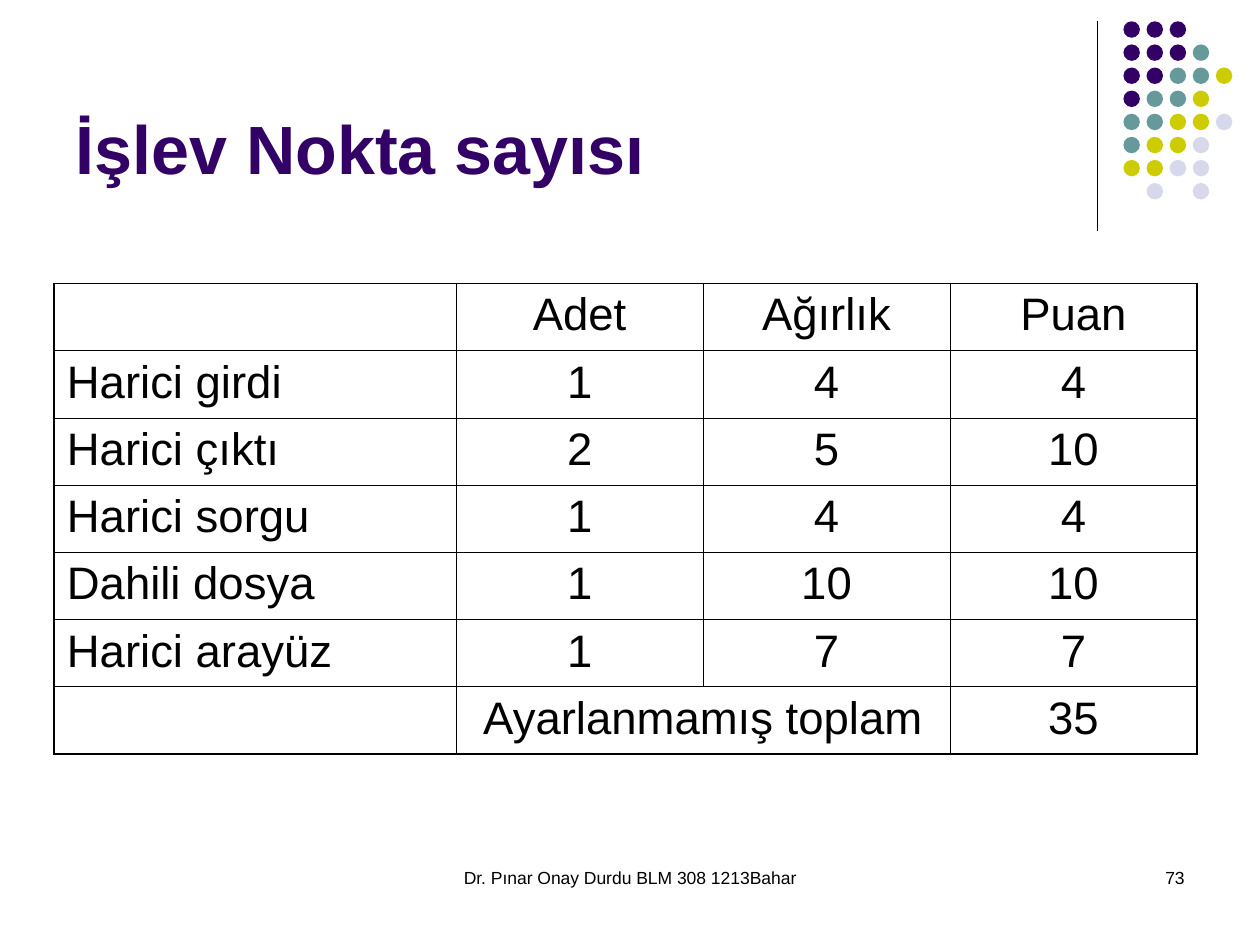
import lxml.etree
import pptx
import pptx.dml.color
import pptx.enum.shapes
import pptx.enum.text
import pptx.oxml.ns
import pptx.util

Pt = pptx.util.Pt
RGBColor = pptx.dml.color.RGBColor
ALIGN = pptx.enum.text.PP_ALIGN
ANCHOR = pptx.enum.text.MSO_ANCHOR
qn = pptx.oxml.ns.qn

BLACK = RGBColor(0, 0, 0)
PURPLE = RGBColor(0x33, 0x00, 0x66)
TEAL = RGBColor(0x66, 0x99, 0x99)
OLIVE = RGBColor(0xCC, 0xCC, 0x00)
LAVENDER = RGBColor(0xD8, 0xD8, 0xEC)

DOT_COLOURS = {"P": PURPLE, "T": TEAL, "O": OLIVE, "L": LAVENDER}
DOT_ROWS = ["PPP", "PPPT", "PPTTO", "PTTO", "TTOOL", "TOOL", "OOLL", " L L"]
DOT_SIZE, DOT_PITCH = 9.4, 13.2

POINTS = [
    ["", "Adet", "Ağırlık", "Puan"],
    ["Harici girdi", "1", "4", "4"],
    ["Harici çıktı", "2", "5", "10"],
    ["Harici sorgu", "1", "4", "4"],
    ["Dahili dosya", "1", "10", "10"],
    ["Harici arayüz", "1", "7", "7"],
    ["", "Ayarlanmamış toplam", "", "35"],
]
COLUMN_WIDTHS = [229.7, 141.1, 141.1, 141.1]
ROW_HEIGHT = 38.4
THIN, THICK = 0.45, 1.08


def write(frame, text, size, colour, align, bold=False):
    """Put one formatted paragraph into a text frame."""
    frame.text = text
    paragraph = frame.paragraphs[0]
    paragraph.alignment = align
    font = paragraph.font
    font.name, font.size, font.bold = "Arial", Pt(size), bold
    font.color.rgb = colour


def add_heading(slide, text):
    """Place and format the title placeholder."""
    heading = slide.shapes.title
    heading.left, heading.top = Pt(36), Pt(9.4)
    heading.width, heading.height = Pt(594), Pt(102)
    frame = heading.text_frame
    frame.auto_size = pptx.enum.text.MSO_AUTO_SIZE.NONE
    frame.vertical_anchor = ANCHOR.BOTTOM
    write(frame, text, 39, PURPLE, ALIGN.LEFT, bold=True)


def add_rule(slide, x, top, bottom):
    """Draw the thin vertical line beside the dots."""
    rule = slide.shapes.add_connector(
        pptx.enum.shapes.MSO_CONNECTOR.STRAIGHT, Pt(x), Pt(top), Pt(x), Pt(bottom))
    rule.line.color.rgb = BLACK
    rule.line.width = Pt(0.75)
    lxml.etree.SubElement(rule._element.spPr, qn("a:effectLst"))


def add_dots(slide, left, top):
    """Draw the grouped grid of coloured dots."""
    dots = slide.shapes.add_group_shape()
    for row, letters in enumerate(DOT_ROWS):
        for column, letter in enumerate(letters):
            if letter == " ":
                continue
            dot = dots.shapes.add_shape(
                pptx.enum.shapes.MSO_SHAPE.OVAL,
                Pt(left + column * DOT_PITCH), Pt(top + row * DOT_PITCH),
                Pt(DOT_SIZE), Pt(DOT_SIZE))
            dot.shadow.inherit = False
            dot.fill.solid()
            dot.fill.fore_color.rgb = DOT_COLOURS[letter]
            dot.line.fill.background()


def add_footer(slide, text, left, width, align):
    """Add a small text box on the footer line."""
    footer = slide.shapes.add_textbox(Pt(left), Pt(492), Pt(width), Pt(36))
    footer.text_frame.word_wrap = True
    write(footer.text_frame, text, 10, BLACK, align)


def set_borders(cell, widths):
    """Give a cell black borders: left, right, top, bottom."""
    properties = cell._tc.get_or_add_tcPr()
    for position, (side, width) in enumerate(zip("LRTB", widths)):
        border = lxml.etree.Element(qn(f"a:ln{side}"), w=str(int(Pt(width))))
        fill = lxml.etree.SubElement(border, qn("a:solidFill"))
        lxml.etree.SubElement(fill, qn("a:srgbClr"), val=str(BLACK))
        properties.insert(position, border)


def add_points_table(slide, left, top):
    """Build the function point table with its merged total row."""
    last_row, last_column = len(POINTS) - 1, len(COLUMN_WIDTHS) - 1
    table = slide.shapes.add_table(
        len(POINTS), len(COLUMN_WIDTHS), Pt(left), Pt(top),
        Pt(sum(COLUMN_WIDTHS)), Pt(ROW_HEIGHT * len(POINTS))).table
    table.first_row = table.horz_banding = False
    for column, width in zip(table.columns, COLUMN_WIDTHS):
        column.width = Pt(width)
    for r, values in enumerate(POINTS):
        table.rows[r].height = Pt(ROW_HEIGHT)
        for c, value in enumerate(values):
            cell = table.cell(r, c)
            cell.fill.background()
            outer = (c == 0, c == last_column, r == 0, r == last_row)
            set_borders(cell, [THICK if edge else THIN for edge in outer])
            if value:
                align = ALIGN.CENTER if c else ALIGN.LEFT
                write(cell.text_frame, value, 26, BLACK, align)
    table.cell(last_row, 1).merge(table.cell(last_row, 2))


def main():
    """Build and save the slide."""
    deck = pptx.Presentation()
    deck.slide_width, deck.slide_height = Pt(720), Pt(540)
    slide = deck.slides.add_slide(deck.slide_layouts[5])
    add_rule(slide, 627.1, 12.2, 131.8)
    add_dots(slide, 642, 12.2)
    add_footer(slide, "Dr. Pınar Onay Durdu BLM 308 1213Bahar", 246, 228, ALIGN.CENTER)
    add_footer(slide, "73", 516, 168, ALIGN.RIGHT)
    add_heading(slide, "İşlev Nokta sayısı")
    add_points_table(slide, 31, 162)
    deck.save("out.pptx")


if __name__ == "__main__":
    main()
